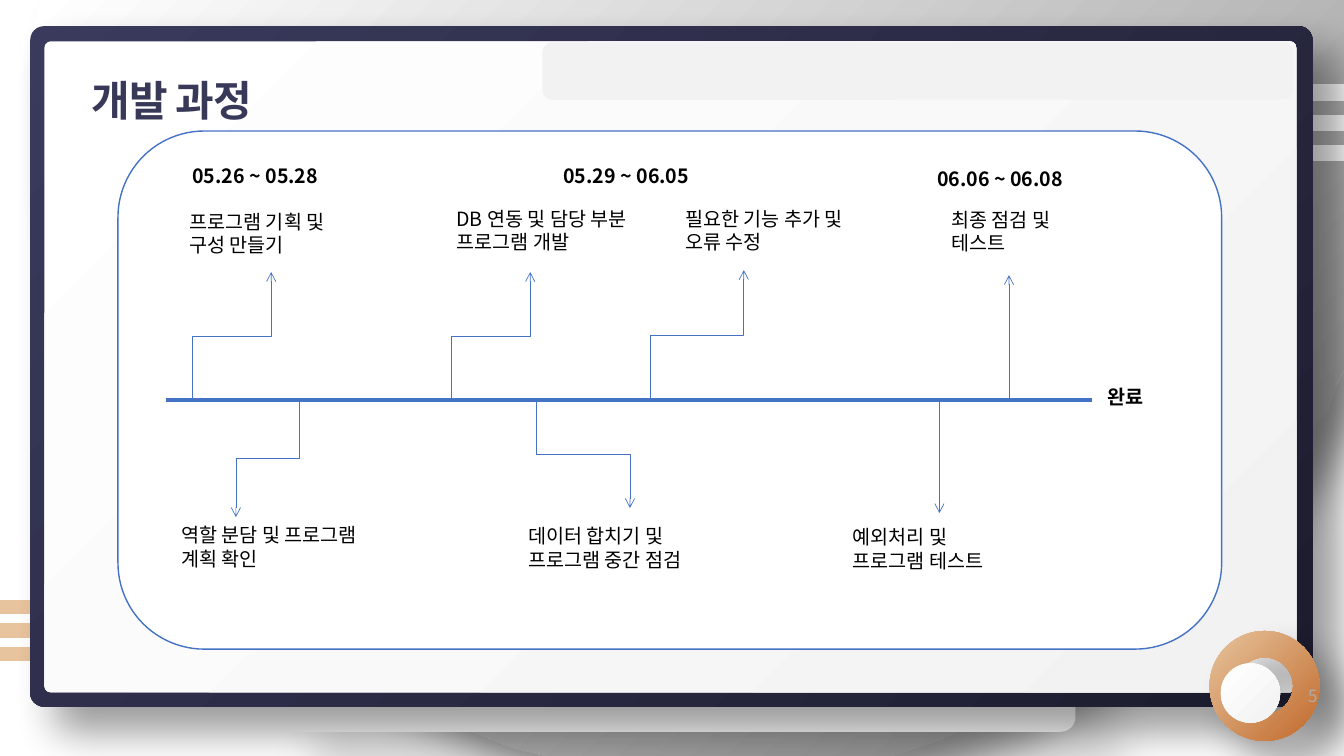
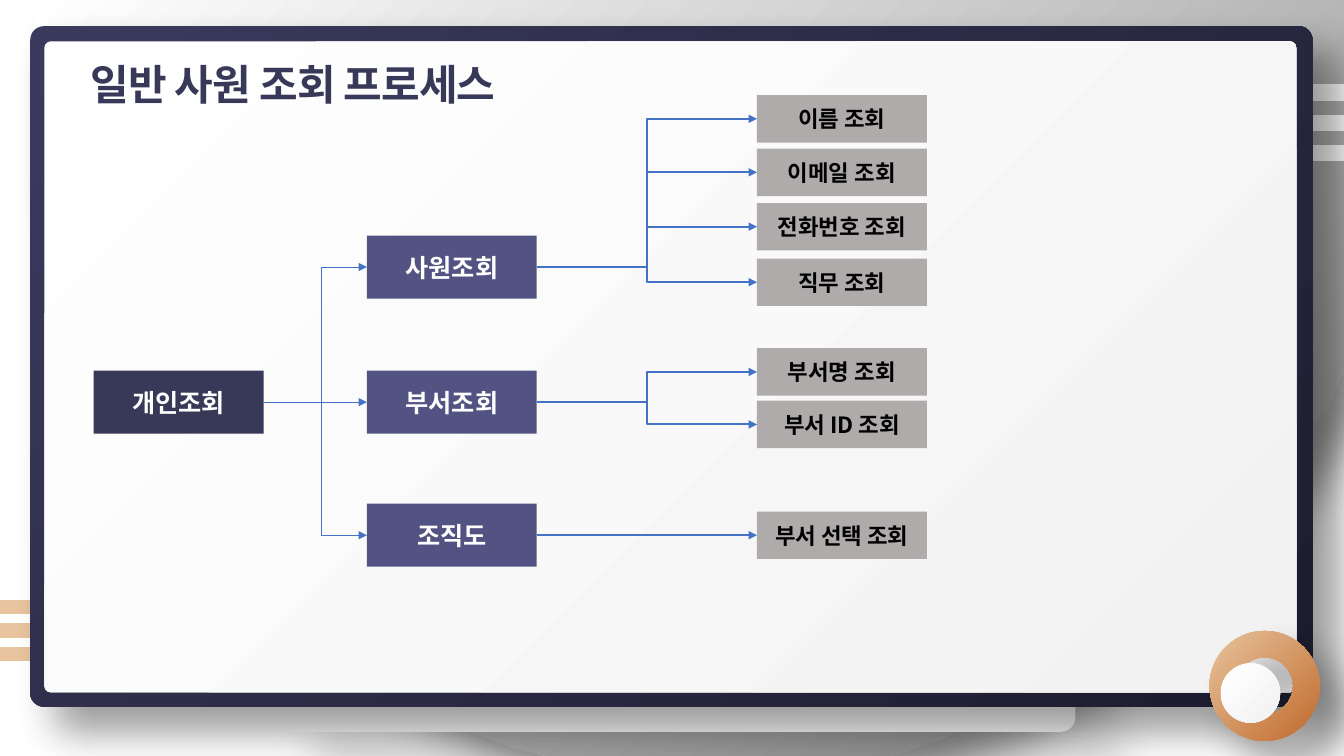
from collections import namedtuple

from lxml.etree import SubElement
from pptx import Presentation
from pptx.dml.color import RGBColor
from pptx.enum.shapes import MSO_CONNECTOR, MSO_SHAPE
from pptx.enum.text import MSO_ANCHOR, PP_ALIGN
from pptx.oxml.ns import qn
from pptx.util import Emu, Pt

CELL = 76200
COLUMNS, ROWS = 160, 90
FONT = "Noto Sans CJK KR"
WHITE = RGBColor(0xFF, 0xFF, 0xFF)
BLACK = RGBColor(0x00, 0x00, 0x00)
PALE = RGBColor(0xF2, 0xF2, 0xF2)
SILVER = RGBColor(0xAF, 0xAB, 0xAB)
ASH = RGBColor(0x8C, 0x8C, 0x8C)
SAND = RGBColor(0xE7, 0xC4, 0x9D)
COPPER = RGBColor(0xC1, 0x6A, 0x2C)
NAVY = RGBColor(0x38, 0x38, 0x59)
FRAME_TOP = RGBColor(0x3A, 0x3A, 0x5D)
FRAME_BOTTOM = RGBColor(0x1C, 0x1C, 0x2E)
VIOLET = RGBColor(0x53, 0x53, 0x83)
BLUE = RGBColor(0x44, 0x72, 0xC4)

PERIODS = [
    (7.68, 3.36, "05.26 ~ 05.28"),
    (51.84, 3.36, "05.29 ~ 06.05"),
    (96.36, 3.72, "06.06 ~ 06.08"),
    (116.64, 29.64, "완료"),
]
Step = namedtuple("Step", "left top width text start tip_x tip_y")
STEPS = [
    Step(7.32, 8.76, 21.84, "프로그램 기획 및\n구성 만들기", 8.88, 18.24, 16.8),
    Step(6.36, 46.08, 23.64, "역할 분담 및 프로그램 계획 확인", 21.6, 14.04, 45.96),
    Step(39.12, 8.4, 27.96, "DB 연동 및 담당 부분\n프로그램 개발", 39.72, 49.08, 16.8),
    Step(47.64, 46.2, 27.84, "데이터 합치기 및\n프로그램 중간 점검", 49.8, 60.96, 44.88),
    Step(66.36, 8.4, 24, "필요한 기능 추가 및 오류 수정", 63.36, 74.52, 16.56),
    Step(86.28, 46.32, 20.16, "예외처리 및\n프로그램 테스트", 97.8, 97.8, 45.48),
    Step(98.04, 8.52, 24, "최종 점검 및\n테스트", 106.08, 106.08, 17.16),
]
QUERIES = [
    (20.52, "사원조회", [(2.88, "이름 조회"), (9.24, "이메일 조회"),
                     (15.72, "전화번호 조회"), (22.32, "직무 조회")]),
    (36.6, "부서조회", [(33, "부서명 조회"), (39.24, "부서 ID 조회")]),
    (52.44, "조직도", [(52.44, "부서 선택 조회")]),
]


class Box(namedtuple("Box", "left top width height")):
    """A rectangle measured in grid cells."""

    def inset(self, left, top, width, height):
        """Return a box placed relative to this one."""
        return Box(self.left + left, self.top + top, width, height)

    def point(self, x, y):
        """Return a slide point for a point inside this box."""
        return self.left + x, self.top + y

    def emu(self):
        """Return the four lengths in EMU."""
        return [cells(value) for value in self]


def cells(count):
    """Convert grid cells to EMU."""
    return Emu(round(count * CELL))


SLIDE = Box(0, 0, COLUMNS, ROWS)


def write(frame, text, size=14, color=BLACK, bold=False, align=PP_ALIGN.LEFT,
          anchor=MSO_ANCHOR.TOP, spacing=None, tracking=None):
    """Fill a text frame with formatted paragraphs."""
    frame.word_wrap = True
    frame.vertical_anchor = anchor
    frame.text = text
    for paragraph in frame.paragraphs:
        paragraph.alignment = align
        if spacing:
            paragraph.line_spacing = spacing
        for run in paragraph.runs:
            font = run.font
            font.size, font.bold, font.name = Pt(size), bold, FONT
            font.color.rgb = color
            properties = run._r.get_or_add_rPr()
            SubElement(properties, qn("a:ea"), typeface=FONT)
            if tracking:
                properties.set("spc", str(round(tracking * 100)))


def add_label(slide, box, text, **style):
    """Add a text box."""
    write(slide.shapes.add_textbox(*box.emu()).text_frame, text, **style)


def paint(shape, *fill, outline=None, shadow=None):
    """Set a one- or two-colour fill, an outline and a shadow."""
    if len(fill) == 2:
        shape.fill.gradient()
        shape.fill.gradient_angle = 315
        for stop, color, position in zip(shape.fill.gradient_stops, fill, (0, 1)):
            stop.color.rgb, stop.position = color, position
    else:
        shape.fill.solid()
        shape.fill.fore_color.rgb = fill[0]
    if outline:
        shape.line.color.rgb, shape.line.width = outline, Pt(1)
    else:
        shape.line.fill.background()
    shape.shadow.inherit = False
    if shadow:
        opacity, distance = shadow
        effects = shape.element.spPr.find(qn("a:effectLst"))
        outer = SubElement(effects, qn("a:outerShdw"), blurRad=str(int(Pt(30))),
                           dist=str(int(Pt(distance))), dir="2700000",
                           algn="tl", rotWithShape="0")
        tint = SubElement(outer, qn("a:srgbClr"), val=str(BLACK))
        SubElement(tint, qn("a:alpha"), val=str(opacity * 1000))


def add_block(slide, box, *fill, kind=MSO_SHAPE.RECTANGLE, corner=None, **look):
    """Add a painted preset shape."""
    block = slide.shapes.add_shape(kind, *box.emu())
    if corner is not None:
        block.adjustments[0] = corner
    paint(block, *fill, **look)
    return block


def add_line(slide, start, end, color=BLUE, width=0.5, kind=MSO_CONNECTOR.STRAIGHT,
             arrow=None, cap=None, bend=None):
    """Add a connector between two slide points."""
    line = slide.shapes.add_connector(kind, *map(cells, (*start, *end)))
    line.line.color.rgb, line.line.width = color, Pt(width)
    properties = line.element.spPr
    stroke = properties.find(qn("a:ln"))
    if cap:
        stroke.set("cap", cap)
    if arrow:
        SubElement(stroke, qn("a:tailEnd"), type=arrow)
    if bend:
        guides = properties.find(qn("a:prstGeom")).find(qn("a:avLst"))
        SubElement(guides, qn("a:gd"), name="adj1", fmla=f"val {round(bend * 100000)}")
    SubElement(properties, qn("a:effectLst"))
    return line


def add_upright_elbow(slide, start, end, **look):
    """Add an elbow that leaves and arrives vertically."""
    (x1, y1), (x2, y2) = start, end
    middle_x, middle_y = (x1 + x2) / 2, (y1 + y2) / 2
    along, across = (y2 - y1) / 2, (x2 - x1) / 2
    elbow = add_line(slide, (middle_x - along, middle_y + across),
                     (middle_x + along, middle_y - across),
                     kind=MSO_CONNECTOR.ELBOW, **look)
    elbow.element.spPr.find(qn("a:xfrm")).set("rot", "5400000")


def link(slide, source, target, width, bend=0.5):
    """Join the right side of one block to the left side of another."""
    start = (source.left + source.width) / CELL, (source.top + source.height / 2) / CELL
    end = target.left / CELL, (target.top + target.height / 2) / CELL
    if abs(start[1] - end[1]) < 0.1:
        line = add_line(slide, start, end, width=width, arrow="triangle")
    else:
        line = add_line(slide, start, end, width=width, arrow="triangle",
                        kind=MSO_CONNECTOR.ELBOW, bend=bend)
    line.begin_connect(source, 3)
    line.end_connect(target, 1)


def curve(start, first, second, end, steps=24):
    """Return points along a cubic curve, without its start."""
    points = []
    for step in range(1, steps + 1):
        t = step / steps
        weights = (1 - t) ** 3, 3 * t * (1 - t) ** 2, 3 * t * t * (1 - t), t ** 3
        points.append(tuple(sum(w * p[axis] for w, p in zip(weights, (start, first, second, end)))
                            for axis in (0, 1)))
    return points


def add_stripes(slide, box, color, width):
    """Add three evenly spaced thick lines across a box."""
    for row in range(3):
        y = row * box.height / 2
        add_line(slide, box.point(0, y), box.point(box.width, y), color, width, cap="sq")


def add_backdrop(slide, box):
    """Add the large shaded curve behind the frame."""
    right, bottom = box.width, box.height
    outline = [(right, 0), (right, 43.8), (158.88, 46.2)]
    outline += curve(outline[-1], (148.56, 67.68), (129.24, 83.76), (105.84, 89.88))
    outline += [(105.12, bottom), (65.76, bottom), (65.04, 89.88)]
    outline += curve(outline[-1], (29.88, 80.76), (3.96, 48.84), (3.96, 10.92))
    outline += curve(outline[-1], (3.96, 8.16), (4.08, 5.28), (4.32, 2.64), steps=4)
    builder = slide.shapes.build_freeform(*box.point(4.68, 0), scale=CELL)
    builder.add_line_segments([box.point(*point) for point in outline], close=True)
    paint(builder.convert_to_shape(), WHITE, ASH, shadow=(40, 26))


def add_scenery(slide, box):
    """Draw the frame and ornaments that all slides share."""
    add_stripes(slide, box.inset(0.84, 72.24, 20.64, 5.64), SAND, 10.25)
    add_backdrop(slide, box)
    add_stripes(slide, box.inset(138.24, 11.04, 20.88, 7.2), WHITE, 11.75)
    rounded = MSO_SHAPE.ROUNDED_RECTANGLE
    add_block(slide, box.inset(32.04, 80.04, 96, 7.08), WHITE,
              kind=rounded, corner=0.25, shadow=(12, 46))
    add_block(slide, box.inset(3.6, 3.12, 152.64, 81), FRAME_TOP, FRAME_BOTTOM,
              kind=rounded, corner=0.02, shadow=(40, 26))
    add_block(slide, box.inset(5.28, 4.92, 149.04, 77.52), WHITE, PALE,
              kind=rounded, corner=0.01)
    add_block(slide, box.inset(144, 75.12, 13.08, 13.08), SAND, COPPER,
              kind=MSO_SHAPE.DONUT, corner=0.24, shadow=(40, 26))
    add_block(slide, box.inset(145.32, 78.96, 7.08, 7.08), WHITE, PALE, kind=MSO_SHAPE.OVAL)


def share_scenery(slide, layout):
    """Draw the scenery and keep it on the layout."""
    for placeholder in list(layout.placeholders)[1:]:
        layout.shapes.element.remove(placeholder.element)
    add_scenery(slide, SLIDE)
    scenery = [shape.element for shape in slide.shapes if not shape.is_placeholder]
    for index, element in enumerate(scenery, start=2):
        layout.shapes.element.insert(index, element)


def set_title(slide, box, text):
    """Place and format the slide title."""
    title = slide.shapes.title
    title.left, title.top, title.width, title.height = box.emu()
    frame = title.text_frame
    frame.margin_left = frame.margin_right = frame.margin_top = frame.margin_bottom = 0
    write(frame, text, size=30, color=NAVY, bold=True, anchor=MSO_ANCHOR.MIDDLE,
          spacing=1.2, tracking=-0.6)


def add_timeline(slide, box):
    """Draw the dated development steps along an axis."""
    add_block(slide, box, WHITE, kind=MSO_SHAPE.ROUNDED_RECTANGLE, outline=BLUE)
    axis = 32.04
    add_line(slide, box.point(5.76, axis), box.point(115.92, axis), width=3)
    for left, top, period in PERIODS:
        add_label(slide, box.inset(left, top, 18.36, 4.08), period, bold=True)
    for step in STEPS:
        add_label(slide, box.inset(step.left, step.top, step.width, 6.84), step.text)
        draw = add_line if step.start == step.tip_x else add_upright_elbow
        draw(slide, box.point(step.start, axis), box.point(step.tip_x, step.tip_y),
             arrow="arrow")


def add_node(slide, box, text, fill, size=18, color=WHITE):
    """Add a labelled block of the process tree."""
    node = add_block(slide, box, fill)
    write(node.text_frame, text, size=size, color=color, bold=True,
          align=PP_ALIGN.CENTER, anchor=MSO_ANCHOR.MIDDLE)
    return node


def add_process(slide, box):
    """Draw the query tree from left to right."""
    def place(left, middle, height):
        """Return a node box centred on a row."""
        return box.inset(left, middle - height / 2, 20.22, height)

    root = add_node(slide, place(0, 36.6, 7.5), "개인조회", NAVY)
    for middle, query, details in QUERIES:
        branch = add_node(slide, place(32.52, middle, 7.5), query, VIOLET)
        link(slide, root, branch, width=0.5, bend=0.56)
        for row, detail in details:
            leaf = add_node(slide, place(78.96, row, 5.64), detail, SILVER, 16, BLACK)
            link(slide, branch, leaf, width=1.5)


def main():
    """Build and save both slides."""
    deck = Presentation()
    deck.slide_width, deck.slide_height = cells(COLUMNS), cells(ROWS)
    layout = deck.slide_layouts[5]

    timeline = deck.slides.add_slide(layout)
    share_scenery(timeline, layout)
    set_title(timeline, SLIDE.inset(10.92, 7.44, 51, 7.68), "개발 과정")
    add_timeline(timeline, SLIDE.inset(14.04, 15.6, 131.4, 61.68))
    add_block(timeline, SLIDE.inset(64.56, 5.04, 89.4, 6.84), PALE,
              kind=MSO_SHAPE.ROUNDED_RECTANGLE)
    add_label(timeline, SLIDE.inset(148, 80.6, 10, 4.4), "5", size=12, color=SILVER,
              align=PP_ALIGN.RIGHT, anchor=MSO_ANCHOR.MIDDLE)

    process = deck.slides.add_slide(layout)
    set_title(process, SLIDE.inset(10.8, 4.68, 63, 9.48), "일반 사원 조회 프로세스")
    add_process(process, SLIDE.inset(11.16, 11.28, 99.18, 56.16))
    deck.save("out.pptx")


if __name__ == "__main__":
    main()
